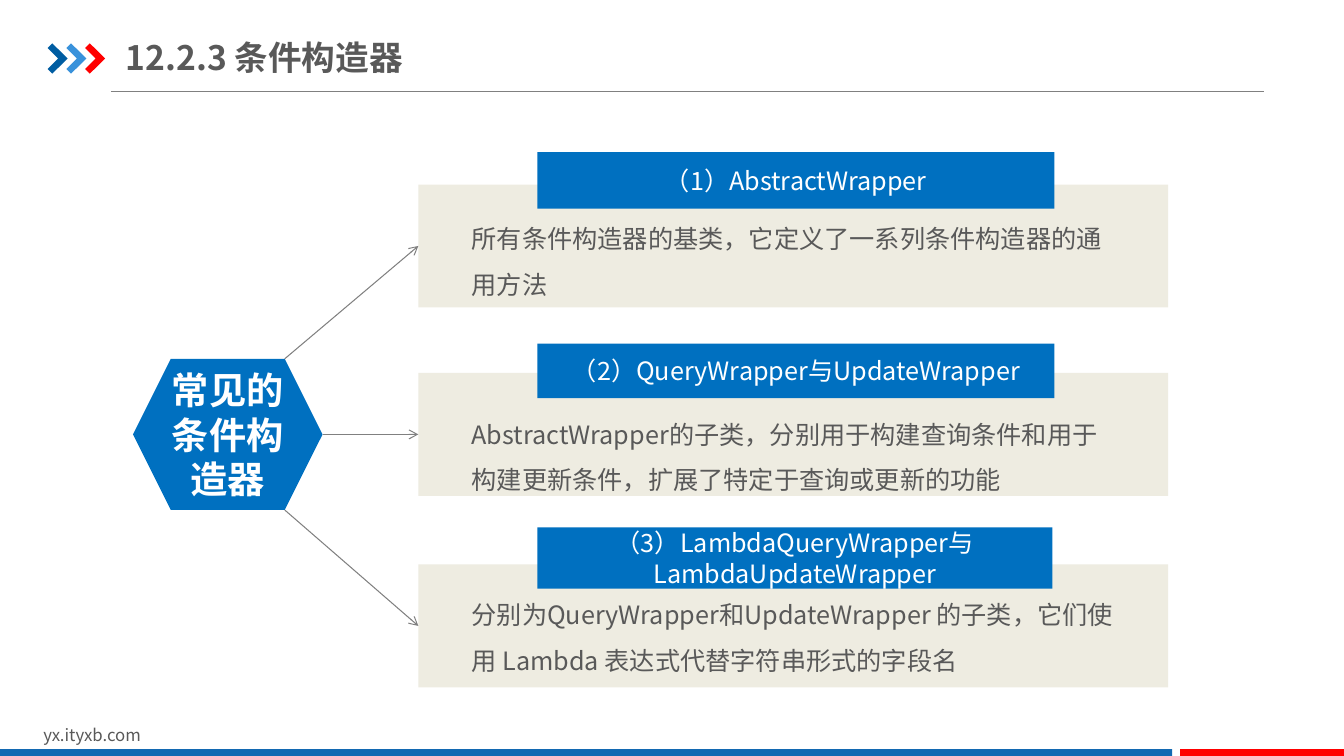
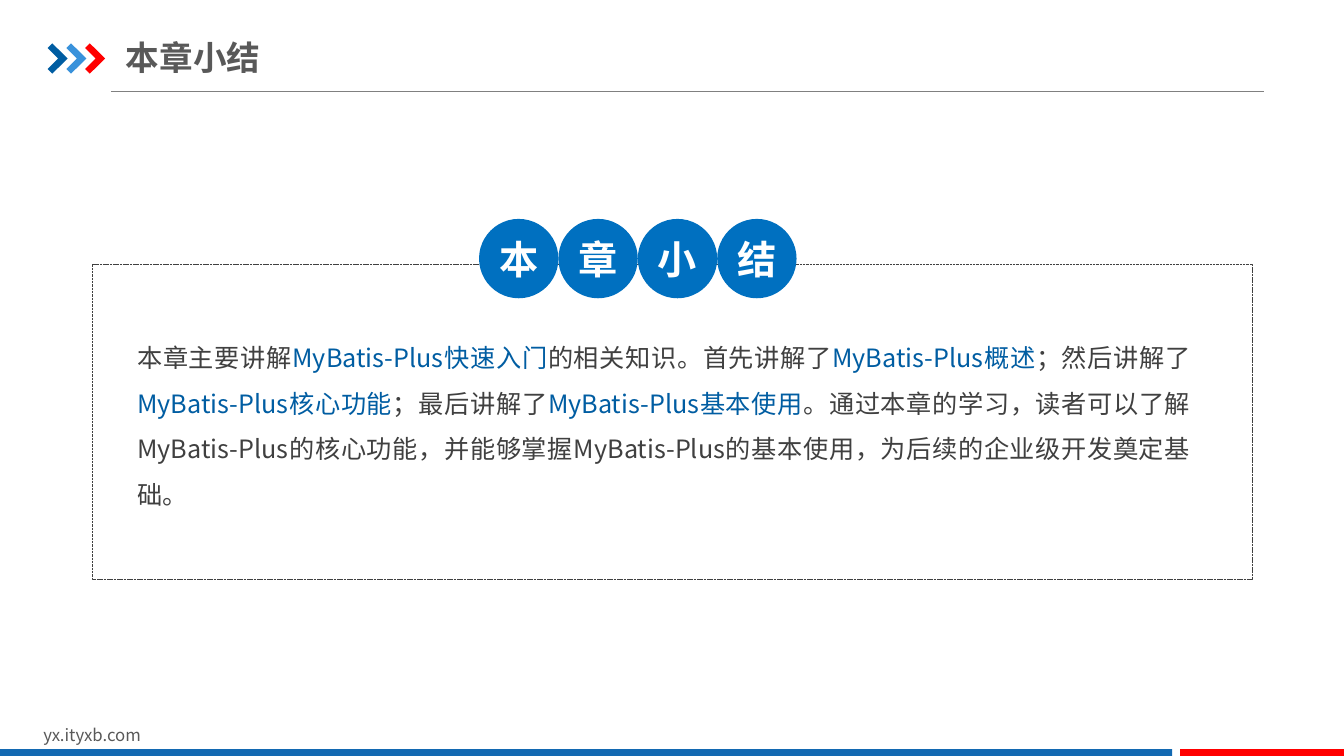
import pptx
import pptx.util
import pptx.dml.color
import pptx.enum.dml
import pptx.enum.shapes
import pptx.enum.text
import pptx.oxml

Pt = pptx.util.Pt
RGBColor = pptx.dml.color.RGBColor
SHAPE = pptx.enum.shapes.MSO_SHAPE
ANCHOR = pptx.enum.text.MSO_ANCHOR
ALIGN = pptx.enum.text.PP_ALIGN

# Shared look
FONT = "Noto Sans CJK SC"
WHITE = RGBColor(0xFF, 0xFF, 0xFF)
BLUE = RGBColor(0x00, 0x70, 0xC0)
DEEP_BLUE = RGBColor(0x00, 0x5D, 0xA2)
LIGHT_BLUE = RGBColor(0x39, 0x92, 0xDB)
BAND_BLUE = RGBColor(0x13, 0x69, 0xB2)
RED = RGBColor(0xFF, 0x00, 0x00)
BEIGE = RGBColor(0xEE, 0xEC, 0xE1)
RULE_GREY = RGBColor(0x80, 0x80, 0x80)
TEXT_GREY = RGBColor(0x59, 0x59, 0x59)
DARK_GREY = RGBColor(0x40, 0x40, 0x40)
SITE = "yx.ityxb.com"
INSETS = (7.2, 3.6)

CHEVRON_COLORS = (DEEP_BLUE, LIGHT_BLUE, RED)
CHEVRON_LEFT, CHEVRON_TOP, CHEVRON_STEP = 34, 31, 13.4
CHEVRON_OUTLINE = [(0, 3.3), (3.4, 0), (14.4, 10.8), (3.4, 21.6), (0, 18.3), (7.6, 10.8)]

# Content of the wrapper slide: tops and heights in points
WRAPPER_TITLE = "12.2.3 条件构造器"
HUB_TEXT = "常见的条件构造器"
WRAPPERS = [
    {"tag": "（1）AbstractWrapper",
     "text": "所有条件构造器的基类，它定义了一系列条件构造器的通用方法",
     "panel_top": 131.8, "tag_box": (108.7, 369.4, 40.3), "text_top": 145.4},
    {"tag": "（2）QueryWrapper与UpdateWrapper",
     "text": "AbstractWrapper的子类，分别用于构建查询条件和用于构建更新条件，扩展了特定于查询或更新的功能",
     "panel_top": 266.4, "tag_box": (245.5, 369.4, 38.9), "text_top": 285.1},
    {"tag": "（3）LambdaQueryWrapper与LambdaUpdateWrapper",
     "text": "分别为QueryWrapper和UpdateWrapper 的子类，它们使用 Lambda 表达式代替字符串形式的字段名",
     "panel_top": 403.2, "tag_box": (376.6, 367.9, 43.9), "text_top": 414},
]
PANEL_LEFT, PANEL_WIDTH, PANEL_HEIGHT = 298.8, 535.7, 87.8
TAG_LEFT = 383.8
HUB_LEFT, HUB_TOP, HUB_WIDTH, HUB_HEIGHT = 95, 256.3, 135.4, 108

# Content of the summary slide
SUMMARY_TITLE = "本章小结"
SUMMARY = [
    ("本章主要讲解", DARK_GREY),
    ("MyBatis-Plus快速入门", DEEP_BLUE),
    ("的相关知识。首先讲解了", DARK_GREY),
    ("MyBatis-Plus概述", DEEP_BLUE),
    ("；然后讲解了", DARK_GREY),
    ("MyBatis-Plus核心功能", DEEP_BLUE),
    ("；最后讲解了", DARK_GREY),
    ("MyBatis-Plus基本使用", DEEP_BLUE),
    ("。通过本章的学习，读者可以了解MyBatis-Plus的核心功能，并能够掌握MyBatis-Plus的"
     "基本使用，为后续的企业级开发奠定基础。", DARK_GREY),
]
CIRCLE_LEFT, CIRCLE_TOP, CIRCLE_SIZE = 342.2, 156.4, 56.7


def append_xml(parent, tag, attributes=""):
    namespace = 'xmlns:a="http://schemas.openxmlformats.org/drawingml/2006/main"'
    parent.append(pptx.oxml.parse_xml(f"<a:{tag} {namespace} {attributes}/>"))


def write(shape, spans, size, bold=False, align=ALIGN.LEFT, anchor=ANCHOR.TOP,
          insets=INSETS, spacing=None):
    """Fill a shape with one paragraph of (text, colour) spans."""
    frame = shape.text_frame
    frame.word_wrap = True
    frame.vertical_anchor = anchor
    frame.margin_left = frame.margin_right = Pt(insets[0])
    frame.margin_top = frame.margin_bottom = Pt(insets[1])
    para = frame.paragraphs[0]
    para.alignment = align
    if spacing:
        para.line_spacing = spacing
    for text, color in spans:
        span = para.add_run()
        span.text = text
        span.font.size = Pt(size)
        span.font.bold = bold
        span.font.color.rgb = color
        span.font.name = FONT
        append_xml(span.font._element, "ea", f'typeface="{FONT}"')


def add_text(page, left, top, width, height, spans, size, **style):
    box = page.shapes.add_textbox(Pt(left), Pt(top), Pt(width), Pt(height))
    write(box, spans, size, **style)


def paint(shape, color):
    shape.shadow.inherit = False
    shape.fill.solid()
    shape.fill.fore_color.rgb = color
    shape.line.fill.background()


def add_block(page, kind, left, top, width, height, color):
    block = page.shapes.add_shape(kind, Pt(left), Pt(top), Pt(width), Pt(height))
    paint(block, color)
    return block


def add_label(page, kind, left, top, width, height, text, size, **style):
    label = add_block(page, kind, left, top, width, height, BLUE)
    write(label, [(text, WHITE)], size, align=ALIGN.CENTER, anchor=ANCHOR.MIDDLE, **style)


def add_line(page, start, end):
    line = page.shapes.add_connector(pptx.enum.shapes.MSO_CONNECTOR.STRAIGHT,
                                     Pt(start[0]), Pt(start[1]), Pt(end[0]), Pt(end[1]))
    line.line.color.rgb = RULE_GREY
    line.line.width = Pt(0.75)
    append_xml(line._element.spPr, "effectLst")
    return line


def add_page(deck, title):
    """Add a blank page with the header and footer."""
    page = deck.slides.add_slide(deck.slide_layouts[6])
    add_line(page, (79.2, 65.5), (902.9, 65.5))
    for index, color in enumerate(CHEVRON_COLORS):
        left = CHEVRON_LEFT + index * CHEVRON_STEP
        points = [(Pt(left + x), Pt(CHEVRON_TOP + y)) for x, y in CHEVRON_OUTLINE]
        builder = page.shapes.build_freeform(*points[0])
        builder.add_line_segments(points[1:], close=True)
        paint(builder.convert_to_shape(), color)
    add_text(page, 23.8, 514, 229, 21.6, [(SITE, TEXT_GREY)], 12)
    add_block(page, SHAPE.RECTANGLE, 0, 535, 837.2, 6.2, BAND_BLUE)
    add_block(page, SHAPE.RECTANGLE, 843, 535, 117, 6.2, RED)
    add_text(page, 90, 20.9, 517.7, 39.6, [(title, TEXT_GREY)], 24,
             bold=True, anchor=ANCHOR.MIDDLE, insets=(0, 5))
    return page


def build_wrappers(deck):
    page = add_page(deck, WRAPPER_TITLE)
    add_label(page, SHAPE.HEXAGON, HUB_LEFT, HUB_TOP, HUB_WIDTH, HUB_HEIGHT,
              HUB_TEXT, 26.6, bold=True)

    # Arrows leave the three right-hand corners of the hexagon
    hub_right = HUB_LEFT + HUB_WIDTH
    corner = hub_right - HUB_HEIGHT / 4
    starts = [(corner, HUB_TOP), (hub_right, HUB_TOP + HUB_HEIGHT / 2),
              (corner, HUB_TOP + HUB_HEIGHT)]
    for wrapper, start in zip(WRAPPERS, starts):
        panel_top = wrapper["panel_top"]
        panel = add_block(page, SHAPE.RECTANGLE, PANEL_LEFT, panel_top,
                          PANEL_WIDTH, PANEL_HEIGHT, BEIGE)
        add_label(page, SHAPE.RECTANGLE, TAG_LEFT, *wrapper["tag_box"], wrapper["tag"], 18)
        add_text(page, 329.8, wrapper["text_top"], 476.6, 72.7,
                 [(wrapper["text"], TEXT_GREY)], 18, spacing=1.5)
        arrow = add_line(page, start, (PANEL_LEFT, panel_top + PANEL_HEIGHT / 2))
        arrow.end_connect(panel, 1)
        append_xml(arrow.line._get_or_add_ln(), "tailEnd", 'type="arrow"')


def build_summary(deck):
    page = add_page(deck, SUMMARY_TITLE)
    add_text(page, 88.6, 229, 771.1, 140.4, SUMMARY, 18,
             align=ALIGN.JUSTIFY, insets=(9.4, 5), spacing=1.5)

    # Dashed frame
    frame = page.shapes.add_shape(SHAPE.ROUNDED_RECTANGLE, Pt(66.2), Pt(188.8), Pt(828), Pt(225.2))
    frame.adjustments[0] = 0
    frame.shadow.inherit = False
    frame.fill.background()
    frame.line.color.rgb = DARK_GREY
    frame.line.width = Pt(0.25)
    frame.line.dash_style = pptx.enum.dml.MSO_LINE.SQUARE_DOT

    # One circle for each character of the heading
    for index, character in enumerate(SUMMARY_TITLE):
        add_label(page, SHAPE.OVAL, CIRCLE_LEFT + index * CIRCLE_SIZE, CIRCLE_TOP,
                  CIRCLE_SIZE, CIRCLE_SIZE, character, 28, bold=True, insets=(0, 0))


def main():
    deck = pptx.Presentation()
    deck.slide_width, deck.slide_height = Pt(960), Pt(540)
    build_wrappers(deck)
    build_summary(deck)
    deck.save("out.pptx")


if __name__ == "__main__":
    main()
